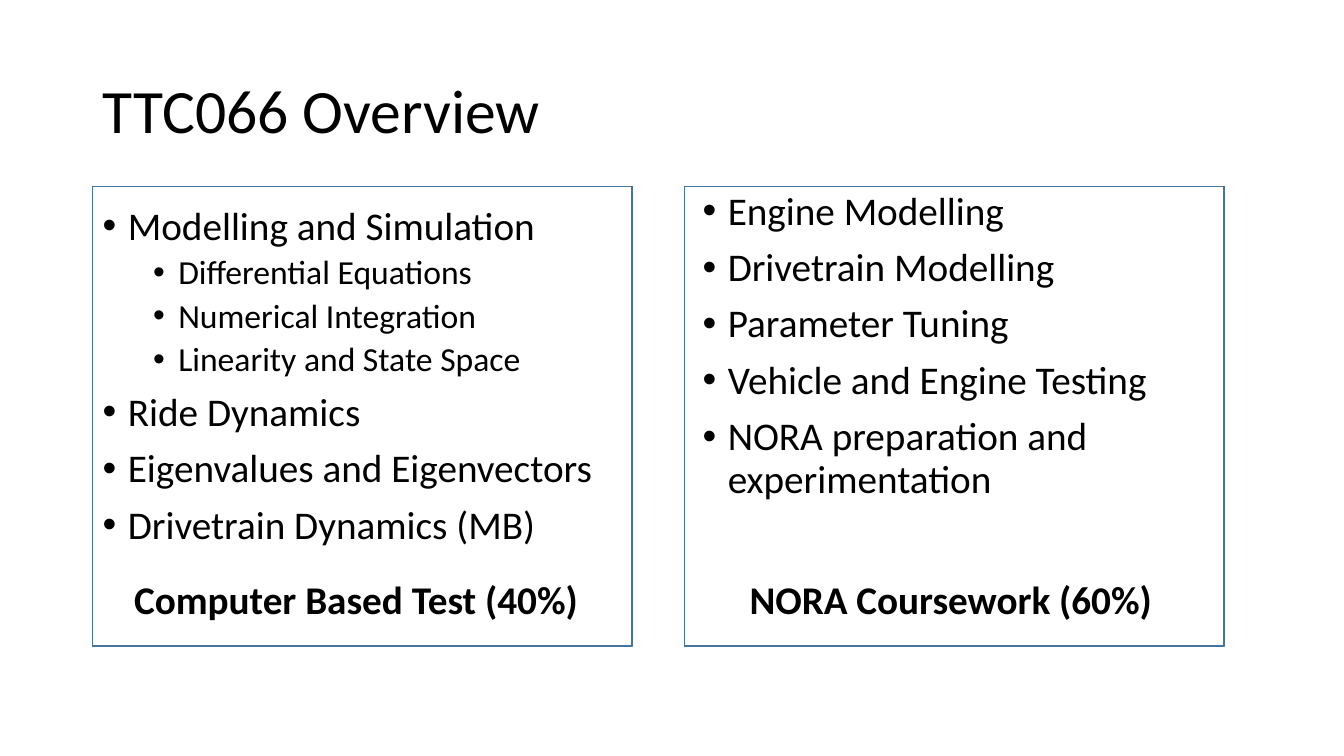
"""Build the TTC066 module overview slide with two framed topic columns."""
from dataclasses import dataclass

from lxml import etree
from pptx import Presentation
from pptx.dml.color import RGBColor
from pptx.enum import shapes, text
from pptx.oxml import ns
from pptx.util import Inches, Pt

TITLE = "TTC066 Overview"
COLUMNS = [
    {
        "topics": [
            (0, "Modelling and Simulation"),
            (1, "Differential Equations"),
            (1, "Numerical Integration"),
            (1, "Linearity and State Space"),
            (0, "Ride Dynamics"),
            (0, "Eigenvalues and Eigenvectors"),
            (0, "Drivetrain Dynamics (MB)"),
        ],
        "topics_at": (0.92, 2),
        "assessment": "Computer Based Test (40%)",
        "assessment_center": 3.53,
    },
    {
        "topics": [
            (0, "Engine Modelling"),
            (0, "Drivetrain Modelling"),
            (0, "Parameter Tuning"),
            (0, "Vehicle and Engine Testing"),
            (0, "NORA preparation and experimentation"),
        ],
        "topics_at": (6.87, 1.85),
        "assessment": "NORA Coursework (60%)",
        "assessment_center": 9.43,
    },
]
MARGIN, FRAME_TOP, FRAME_STEP = 0.92, 1.85, 5.87
FRAME_WIDTH, FRAME_HEIGHT = 5.35, 4.56
TOPICS_SIZE = (5.18, 4.76)
ASSESSMENT_TOP, ASSESSMENT_WIDTH, ASSESSMENT_HEIGHT = 5.66, 5, 0.57


@dataclass
class Theme:
    font: str = "Calibri"
    ink: RGBColor = RGBColor(0, 0, 0)
    frame_fill: RGBColor = RGBColor(0x5B, 0x9B, 0xD5)
    frame_line: RGBColor = RGBColor(0x43, 0x73, 0x9E)
    title_size: int = 44
    level_sizes: tuple = (28, 24)
    level_spacing: tuple = (10, 5)
    assessment_size: int = 28


THEME = Theme()


def add_text_box(slide, left, top, width, height):
    box = slide.shapes.add_textbox(*map(Inches, (left, top, width, height)))
    box.text_frame.word_wrap = True
    return box.text_frame


def add_run(paragraph, words, size, bold=False):
    run = paragraph.add_run()
    run.text = words
    run.font.name, run.font.size, run.font.bold = THEME.font, Pt(size), bold
    run.font.color.rgb = THEME.ink


def add_bullet(paragraph, level):
    properties = paragraph._p.get_or_add_pPr()
    properties.set("marL", str(Inches(0.25 + 0.5 * level)))
    properties.set("indent", str(Inches(-0.25)))
    etree.SubElement(properties, ns.qn("a:buFont"), typeface="Arial")
    etree.SubElement(properties, ns.qn("a:buChar"), char="•")


def add_topics(slide, topics, position):
    frame = add_text_box(slide, *position, *TOPICS_SIZE)
    for index, (level, topic) in enumerate(topics):
        paragraph = frame.add_paragraph() if index else frame.paragraphs[0]
        paragraph.level = level
        paragraph.line_spacing = 0.9
        paragraph.space_before = Pt(THEME.level_spacing[level])
        add_bullet(paragraph, level)
        add_run(paragraph, topic, THEME.level_sizes[level])


def add_assessment(slide, words, center):
    left = center - ASSESSMENT_WIDTH / 2
    frame = add_text_box(slide, left, ASSESSMENT_TOP, ASSESSMENT_WIDTH, ASSESSMENT_HEIGHT)
    paragraph = frame.paragraphs[0]
    paragraph.alignment = text.PP_ALIGN.CENTER
    add_run(paragraph, words, THEME.assessment_size, bold=True)


def add_frame(slide, left):
    shape = slide.shapes.add_shape(
        shapes.MSO_SHAPE.FRAME,
        *map(Inches, (left, FRAME_TOP, FRAME_WIDTH, FRAME_HEIGHT)),
    )
    shape.adjustments[0] = 0
    shape.shadow.inherit = False
    shape.fill.solid()
    shape.fill.fore_color.rgb = THEME.frame_fill
    shape.line.color.rgb = THEME.frame_line
    shape.line.width = Pt(1)


presentation = Presentation()
presentation.slide_width, presentation.slide_height = Inches(13.33), Inches(7.5)
slide = presentation.slides.add_slide(presentation.slide_layouts[6])

title = add_text_box(slide, MARGIN, 0.4, 11.5, 1.45)
title.vertical_anchor = text.MSO_ANCHOR.MIDDLE
title.paragraphs[0].line_spacing = 0.9
add_run(title.paragraphs[0], TITLE, THEME.title_size)

for index, column in enumerate(COLUMNS):
    add_topics(slide, column["topics"], column["topics_at"])
    add_assessment(slide, column["assessment"], column["assessment_center"])
    add_frame(slide, MARGIN + index * FRAME_STEP)

presentation.save("out.pptx")
